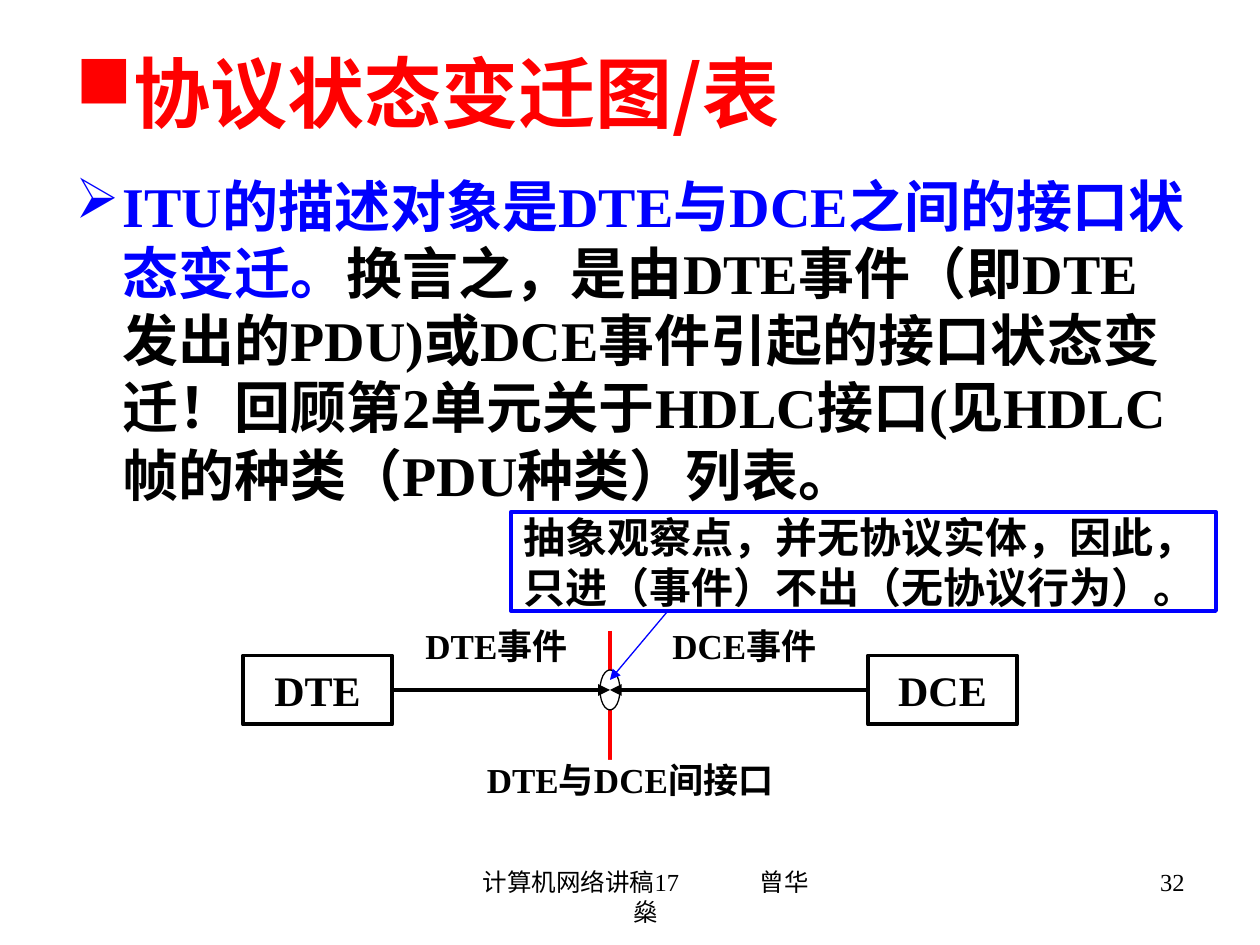
"""Build the slide on protocol state transition diagrams."""
from pptx import Presentation, util as u
from pptx.dml.color import RGBColor
from pptx.enum import shapes, text
from pptx.oxml.ns import qn
from lxml import etree

RED = RGBColor(255, 0, 0)
BLUE = RGBColor(0, 0, 255)
BLACK = RGBColor(0, 0, 0)
WHITE = RGBColor(255, 255, 255)
SERIF, SANS = "Times New Roman", "Noto Sans CJK SC"
LEFT, CENTER, RIGHT = text.PP_ALIGN.LEFT, text.PP_ALIGN.CENTER, text.PP_ALIGN.RIGHT

TITLE = "协议状态变迁图/表"
BODY = [
    ("ITU的描述对象是DTE与DCE之间的接口状态变迁。", BLUE),
    ("换言之，是由DTE事件（即DTE发出的PDU)或DCE事件引起的接口状态变迁！"
     "回顾第2单元关于HDLC接口(见HDLC帧的种类（PDU种类）列表。", BLACK),
]
STATIONS = ["DTE", "DCE"]
EVENTS = ["DTE事件", "DCE事件"]
INTERFACE = "DTE与DCE间接口"
CALLOUT = ["抽象观察点，并无协议实体，因此，", "只进（事件）不出（无协议行为）。"]
FOOTER = "计算机网络讲稿17\t曾华燊"
PAGE = "32"

AXIS_X, AXIS_Y = 610, 690
STATION_W, STATION_H = 149, 69
STATION_X = [243, 868]
EVENT_X = [402, 650]


def px(n):
    return u.Emu(round(n * 914400 / 126))


def box(at):
    return [px(n) for n in at]


def style(paragraph, size, color=BLACK, bold=True, face=SERIF, align=LEFT):
    paragraph.alignment = align
    font = paragraph.font
    font.size, font.bold, font.name = u.Pt(size), bold, face
    if color is not None:
        font.color.rgb = color


def bullet(paragraph, char, color, indent=0):
    props = paragraph._p.get_or_add_pPr()
    props.set("marL", str(px(indent)))
    props.set("indent", str(-px(indent)))
    fill = etree.SubElement(props, qn("a:buClr"))
    etree.SubElement(fill, qn("a:srgbClr"), val=str(color))
    etree.SubElement(props, qn("a:buChar"), char=char)


def panel(slide, at, lines=(), size=24, line=None, weight=2.25, align=CENTER,
          kind=shapes.MSO_SHAPE.RECTANGLE):
    shape = slide.shapes.add_shape(kind, *box(at))
    shape.shadow.inherit = False
    shape.fill.solid()
    shape.fill.fore_color.rgb = WHITE
    if line is None:
        shape.line.fill.background()
    else:
        shape.line.color.rgb = line
        shape.line.width = u.Pt(weight)
    if lines:
        frame = shape.text_frame
        frame.word_wrap = False
        frame.vertical_anchor = text.MSO_ANCHOR.MIDDLE
        frame.text = "\n".join(lines)
        for paragraph in frame.paragraphs:
            style(paragraph, size, align=align)
    return shape


def link(slide, start, end, color, weight=2.25, arrow=True):
    line = slide.shapes.add_connector(shapes.MSO_CONNECTOR.STRAIGHT, *box(start + end))
    line.line.color.rgb = color
    line.line.width = u.Pt(weight)
    if arrow:
        etree.SubElement(line.line._get_or_add_ln(), qn("a:tailEnd"), type="triangle")
    etree.SubElement(line._element.spPr, qn("a:effectLst"))
    return line


def text_area(slide, at):
    frame = slide.shapes.add_textbox(*box(at)).text_frame
    frame.word_wrap = True
    return frame


def add_heading(slide):
    title = slide.shapes.title
    title.left, title.top, title.width, title.height = box((63, 38, 1134, 107))
    frame = title.text_frame
    frame.text = TITLE
    frame.vertical_anchor = text.MSO_ANCHOR.MIDDLE
    bullet(frame.paragraphs[0], "■", RED)
    style(frame.paragraphs[0], 44, RED, face=SANS)


def add_body(slide):
    paragraph = text_area(slide, (63, 165, 1134, 679)).paragraphs[0]
    bullet(paragraph, "➢", BLUE, 47)
    style(paragraph, 32, None)
    for words, color in BODY:
        run = paragraph.add_run()
        run.text = words
        run.font.color.rgb = color


def add_diagram(slide):
    station_y = AXIS_Y - STATION_H / 2
    stations = [panel(slide, (x, station_y, STATION_W, STATION_H), [name], line=BLACK)
                for x, name in zip(STATION_X, STATIONS)]
    link(slide, (AXIS_X, 631), (AXIS_X, 760), RED, arrow=False)
    panel(slide, (451, 760, 358, 39), [INTERFACE], 20)
    panel(slide, (AXIS_X - 10, AXIS_Y - 20, 20, 40), line=BLACK, weight=0.75,
          kind=shapes.MSO_SHAPE.OVAL)
    for station, side in zip(stations, (3, 1)):
        arrow = link(slide, (AXIS_X, AXIS_Y), (AXIS_X, AXIS_Y), BLACK)
        arrow.begin_connect(station, side)
    for x, event in zip(EVENT_X, EVENTS):
        panel(slide, (x, 621, 189, 49), [event], 20)
    link(slide, (709, 562), (AXIS_X, 680), BLUE, 0.75)
    panel(slide, (511, 512, 705, 99), CALLOUT, line=BLUE, align=LEFT)


def add_footer(slide):
    frame = text_area(slide, (431, 861, 399, 66))
    frame.margin_left = px(43)
    frame.text = FOOTER
    paragraph = frame.paragraphs[0]
    tabs = etree.SubElement(paragraph._p.get_or_add_pPr(), qn("a:tabLst"))
    etree.SubElement(tabs, qn("a:tab"), pos=str(px(277)), algn="l")
    style(paragraph, 14, bold=False, align=CENTER)
    frame = text_area(slide, (903, 861, 294, 66))
    frame.text = PAGE
    style(frame.paragraphs[0], 14, bold=False, align=RIGHT)


def main():
    deck = Presentation()
    deck.slide_width, deck.slide_height = px(1260), px(945)
    slide = deck.slides.add_slide(deck.slide_layouts[5])
    add_heading(slide)
    add_body(slide)
    add_diagram(slide)
    add_footer(slide)
    deck.save("out.pptx")


if __name__ == "__main__":
    main()
